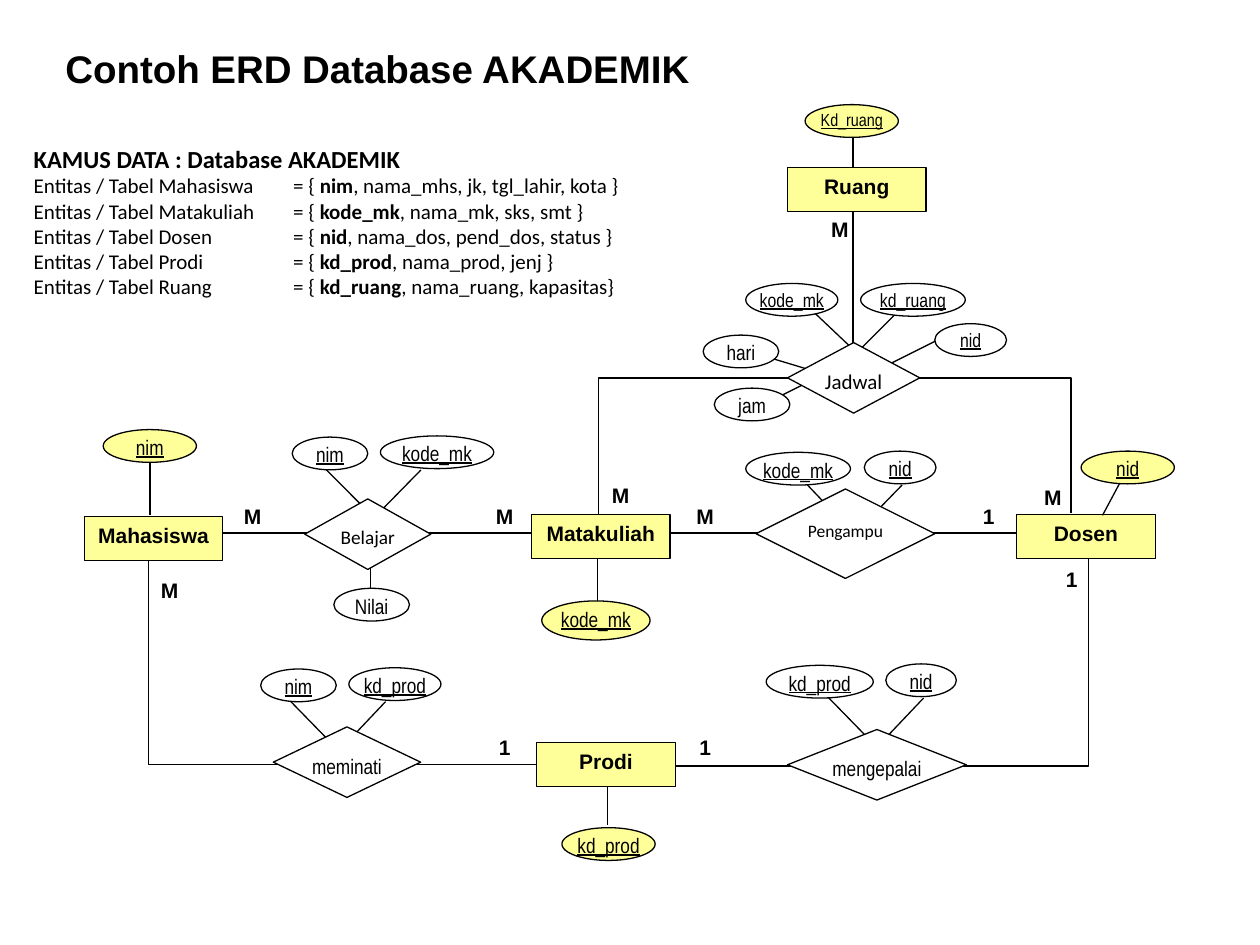
"""Build the entity relationship diagram slide of the academic database."""
import dataclasses

import lxml.etree
import pptx
import pptx.dml.color
import pptx.enum.shapes
import pptx.enum.text
import pptx.oxml.ns
import pptx.util

Pt = pptx.util.Pt
SHAPE = pptx.enum.shapes.MSO_SHAPE
ANCHOR = pptx.enum.text.MSO_ANCHOR
ALIGN = pptx.enum.text.PP_ALIGN


@dataclasses.dataclass(frozen=True)
class Theme:
    ink: str = "000000"
    paper: str = "FFFFFF"
    highlight: str = "FFFF99"
    heading_font: str = "Arial"
    attribute_font: str = "Arial Narrow"
    body_font: str = "Calibri"
    title_size: int = 22
    heading_size: int = 14
    text_size: int = 12
    small_size: int = 11
    tiny_size: int = 10
    line_width: float = 0.75


THEME = Theme()
ENTITY_SIZE = (79.2, 25.2)
ATTRIBUTE_HEIGHT = 18.7
LABEL_SIZE = (23.8, 18)
DICTIONARY_TAB = 148.3

LINKS = [
    [(504, 210.2), (540, 192.2)],
    [(487.4, 216), (487.4, 120.2)],
    [(437.8, 203.8), (470.9, 213.8), (442.1, 228.2)],
    [(211.7, 342), (211.7, 311.8)],
    [(85, 316.8), (85, 437), (306.7, 437)],
    [(622.1, 318.2), (622.1, 437.8), (383.8, 437.8)],
    [(123.8, 304.6), (591.8, 304.6)],
    [(462.2, 175.7), (489.6, 201.6), (517, 174.2)],
    [(342, 294.5), (342, 216), (612, 216), (612, 293)],
    [(347, 447.1), (347, 471.6)],
    [(460.8, 276.5), (488.2, 305.3), (515.5, 277.2)],
    [(185.8, 267.8), (213.8, 295.9), (240.5, 268.6)],
    [(473, 398.2), (501.1, 427), (527.8, 398.9)],
    [(165.6, 400.3), (193.7, 429.1), (220.3, 401)],
    [(341.3, 319), (341.3, 343.4)],
    [(487.4, 77.8), (487.4, 97.9)],
]
KEY_LINKS = [
    [(85.7, 264.2), (85.7, 294.5)],
    [(645.8, 265), (630, 294.5)],
]
ENTITIES = [
    ("Mahasiswa", 48.2, 295.2),
    ("Matakuliah", 303.8, 293.8),
    ("Dosen", 581, 293.8),
    ("Prodi", 306.7, 424.1),
    ("Ruang", 450, 95.8),
]
RELATIONSHIPS = [
    ("Belajar", (174.2, 285.1, 72, 40.3), THEME.body_font, THEME.small_size),
    ("Pengampu", (432, 279.4, 102.2, 51.1), THEME.body_font, THEME.tiny_size),
    ("meminati", (156.2, 415.4, 84.2, 40.3), THEME.attribute_font, THEME.text_size),
    ("mengepalai", (450, 416.9, 102.2, 40.3), THEME.attribute_font, THEME.text_size),
    ("Jadwal", (450, 195.8, 75.6, 40.3), THEME.body_font, THEME.text_size),
]
ENTITY_KEYS = [
    ("nim", (59, 245.5, 53.3, ATTRIBUTE_HEIGHT), THEME.text_size),
    ("kode_mk", (309.6, 343.4, 61.9, 22.3), THEME.text_size),
    ("kd_prod", (321.1, 473, 53.3, ATTRIBUTE_HEIGHT), THEME.text_size),
    ("Kd_ruang", (460.1, 59.8, 53.3, ATTRIBUTE_HEIGHT), THEME.tiny_size),
    ("nid", (617.8, 257.8, 53.3, ATTRIBUTE_HEIGHT), THEME.text_size),
]
FOREIGN_KEYS = [
    ("nim", 149, 382.3, 43.2, THEME.text_size),
    ("kd_prod", 199.4, 381.6, 52.6, THEME.text_size),
    ("kd_prod", 437.8, 380.2, 61.2, THEME.text_size),
    ("nid", 506.2, 379.4, 40.3, THEME.text_size),
    ("nim", 167, 249.8, 43.2, THEME.text_size),
    ("kode_mk", 217.4, 249.1, 64.8, THEME.text_size),
    ("kode_mk", 426.2, 258.5, 59.8, THEME.text_size),
    ("nid", 493.9, 257.8, 41, THEME.text_size),
    ("kode_mk", 426.2, 162, 52.6, THEME.small_size),
    ("kd_ruang", 491.8, 162, 59.8, THEME.small_size),
    ("nid", 534.2, 185, 41, THEME.small_size),
]
PLAIN_ATTRIBUTES = [
    ("Nilai", 190.8, 336.2),
    ("hari", 401.8, 191.5),
    ("jam", 408.2, 221.8),
]
CARDINALITIES = [
    ("1", 553, 284.4), ("M", 391, 284.4), ("M", 276.5, 284.4),
    ("M", 132.5, 284.4), ("1", 600.5, 320.4), ("1", 391, 416.2),
    ("M", 85, 326.2), ("1", 276.5, 416.2), ("M", 342.7, 272.2),
    ("M", 468, 120.2), ("M", 589.7, 273.6),
]
DICTIONARY = [
    ("Entitas / Tabel Mahasiswa ", "nim", ", nama_mhs, jk, tgl_lahir, kota }"),
    ("Entitas / Tabel Matakuliah ", "kode_mk", ", nama_mk, sks, smt }"),
    ("Entitas / Tabel Dosen ", "nid", ", nama_dos, pend_dos, status }"),
    ("Entitas / Tabel Prodi", "kd_prod", ", nama_prod, jenj }"),
    ("Entitas / Tabel Ruang", "kd_ruang", ", nama_ruang, kapasitas}"),
]


def color(value):
    return pptx.dml.color.RGBColor.from_string(value)


def style_span(span, font, size, bold=False, underline=False):
    span.font.name = font
    span.font.size = Pt(size)
    span.font.bold = bold
    span.font.underline = underline
    span.font.color.rgb = color(THEME.ink)


def style_line(line):
    line.color.rgb = color(THEME.ink)
    line.width = Pt(THEME.line_width)


def put_text(frame, text, align, font, size, bold=False, underline=False):
    frame.text = text
    para = frame.paragraphs[0]
    para.alignment = align
    style_span(para.runs[0], font, size, bold, underline)


def set_margins(frame, left=0, top=0, right=0, bottom=0):
    frame.margin_left, frame.margin_top = Pt(left), Pt(top)
    frame.margin_right, frame.margin_bottom = Pt(right), Pt(bottom)


def add_link(page, points):
    points = [(Pt(x), Pt(y)) for x, y in points]
    if len(points) == 2:
        kind = pptx.enum.shapes.MSO_CONNECTOR.STRAIGHT
        link = page.shapes.add_connector(kind, *points[0], *points[1])
        style_line(link.line)
        properties = link._element.spPr
        lxml.etree.SubElement(properties, pptx.oxml.ns.qn("a:effectLst"))
        return
    builder = page.shapes.build_freeform(*points[0])
    builder.add_line_segments(points[1:], close=False)
    link = builder.convert_to_shape()
    link.fill.background()
    link.shadow.inherit = False
    style_line(link.line)


def add_node(page, kind, bounds, fill, text, font, size, bold=False, underline=False):
    node = page.shapes.add_shape(kind, *map(Pt, bounds))
    node.shadow.inherit = False
    node.fill.solid()
    node.fill.fore_color.rgb = color(fill)
    style_line(node.line)
    frame = node.text_frame
    frame.word_wrap = False
    frame.vertical_anchor = ANCHOR.TOP
    put_text(frame, text, ALIGN.CENTER, font, size, bold, underline)
    return frame


def add_entity(page, name, left, top):
    add_node(page, SHAPE.RECTANGLE, (left, top, *ENTITY_SIZE), THEME.highlight,
             name, THEME.heading_font, THEME.text_size, bold=True)


def add_relationship(page, name, bounds, font, size):
    frame = add_node(page, SHAPE.FLOWCHART_DECISION, bounds, THEME.paper, name, font, size)
    set_margins(frame, top=5)


def add_attribute(page, name, bounds, size, fill=THEME.paper, underline=True):
    frame = add_node(page, SHAPE.OVAL, bounds, fill, name,
                     THEME.attribute_font, size, underline=underline)
    set_margins(frame)


def add_cardinality(page, text, left, top):
    box = page.shapes.add_textbox(*map(Pt, (left, top, *LABEL_SIZE)))
    frame = box.text_frame
    frame.word_wrap = True
    set_margins(frame, top=3.6, bottom=3.6)
    put_text(frame, text, ALIGN.CENTER, THEME.heading_font, THEME.text_size, bold=True)


def add_dictionary(page):
    box = page.shapes.add_textbox(Pt(12.2), Pt(77.8), Pt(396), Pt(97.2))
    frame = box.text_frame
    frame.word_wrap = True
    frame.vertical_anchor = ANCHOR.MIDDLE
    put_text(frame, "KAMUS DATA : Database AKADEMIK", ALIGN.LEFT,
             THEME.body_font, THEME.heading_size, bold=True)
    for table, key, columns in DICTIONARY:
        para = frame.add_paragraph()
        tabs = lxml.etree.SubElement(para._p.get_or_add_pPr(), pptx.oxml.ns.qn("a:tabLst"))
        lxml.etree.SubElement(tabs, pptx.oxml.ns.qn("a:tab"),
                              pos=str(Pt(DICTIONARY_TAB)), algn="l")
        for text in (f"{table}\t= {{ ", key, columns):
            span = para.add_run()
            span.text = text
            style_span(span, THEME.body_font, THEME.text_size, bold=text == key)


def add_title(page):
    title = page.shapes.title
    title.left, title.top, title.width, title.height = map(Pt, (30.2, 22.3, 383.8, 33.8))
    frame = title.text_frame
    frame.word_wrap = True
    frame.auto_size = pptx.enum.text.MSO_AUTO_SIZE.NONE
    frame.vertical_anchor = ANCHOR.TOP
    put_text(frame, "Contoh ERD Database AKADEMIK", ALIGN.LEFT,
             THEME.heading_font, THEME.title_size, bold=True)


def main():
    deck = pptx.Presentation()
    deck.slide_width, deck.slide_height = Pt(720), Pt(540)
    page = deck.slides.add_slide(deck.slide_layouts.get_by_name("Title Only"))
    add_title(page)
    add_dictionary(page)
    for points in LINKS:
        add_link(page, points)
    for entity in ENTITIES:
        add_entity(page, *entity)
    for points in KEY_LINKS:
        add_link(page, points)
    for relationship in RELATIONSHIPS:
        add_relationship(page, *relationship)
    for name, bounds, size in ENTITY_KEYS:
        add_attribute(page, name, bounds, size, fill=THEME.highlight)
    for name, left, top, width, size in FOREIGN_KEYS:
        add_attribute(page, name, (left, top, width, ATTRIBUTE_HEIGHT), size)
    for name, left, top in PLAIN_ATTRIBUTES:
        add_attribute(page, name, (left, top, 43.2, ATTRIBUTE_HEIGHT),
                      THEME.text_size, underline=False)
    for cardinality in CARDINALITIES:
        add_cardinality(page, *cardinality)
    deck.save("out.pptx")


if __name__ == "__main__":
    main()
